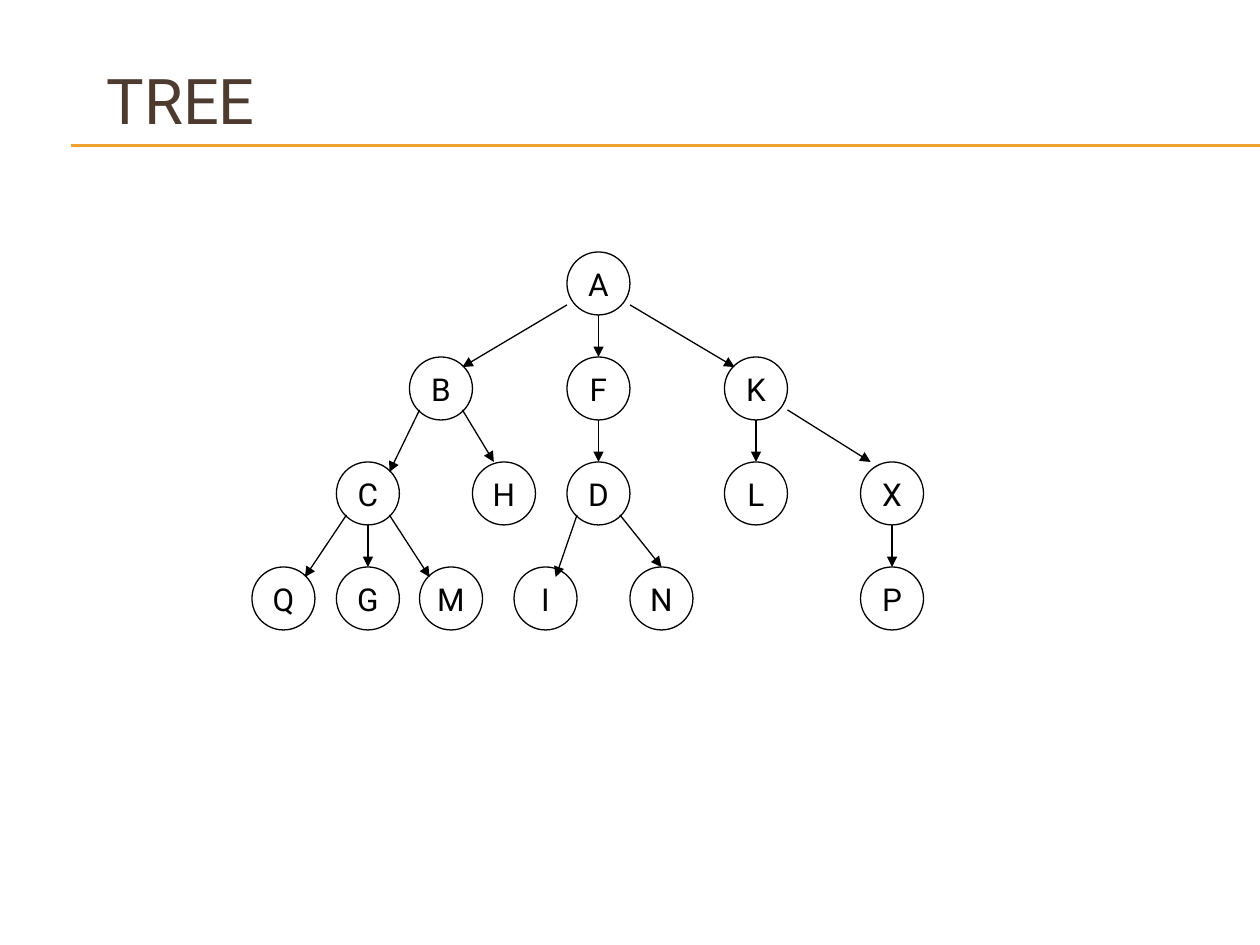
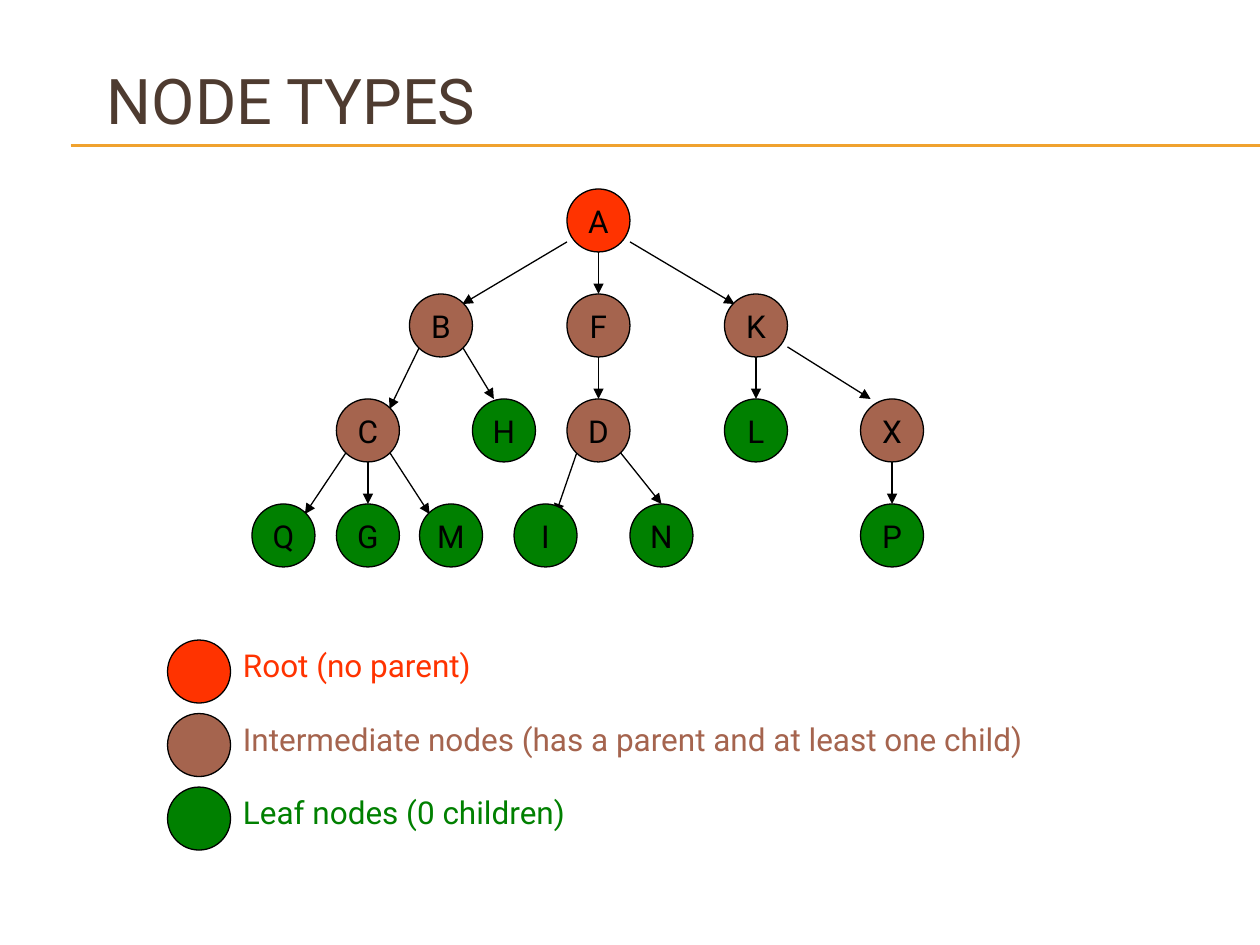
from lxml import etree
from pptx import Presentation
from pptx.dml.color import RGBColor
from pptx.enum import shapes, text
from pptx.oxml import ns
from pptx.util import Inches, Pt

FONT = "Roboto"
BLACK = RGBColor(0x00, 0x00, 0x00)
TITLE_BROWN = RGBColor(0x4E, 0x3B, 0x30)
RULE_GOLD = RGBColor(0xF0, 0xA2, 0x2E)
ROOT_RED = RGBColor(0xFF, 0x33, 0x00)
INNER_BROWN = RGBColor(0xA5, 0x64, 0x4E)
LEAF_GREEN = RGBColor(0x00, 0x80, 0x00)

DIAMETER = 0.5
RADIUS = DIAMETER / 2
DIAGONAL = 0.17
LEVEL_STEP = 2.5 / 3
LEGEND_STEP = 1.75 / 3

# Node centres: horizontal distance from the left edge of the tree, and level.
NODES = {
    "A": (2.75, 0),
    "B": (1.5, 1), "F": (2.75, 1), "K": (4, 1),
    "C": (0.92, 2), "H": (2, 2), "D": (2.75, 2), "L": (4, 2), "X": (5.08, 2),
    "Q": (0.25, 3), "G": (0.92, 3), "M": (1.58, 3), "I": (2.33, 3),
    "N": (3.25, 3), "P": (5.08, 3),
}

# Each edge's ends, as offsets from the centres of its parent and its child.
DOWN = ((0, RADIUS), (0, -RADIUS))
EDGES = {
    "AB": ((-RADIUS, DIAGONAL), (DIAGONAL, -DIAGONAL)),
    "AF": DOWN,
    "AK": ((RADIUS, DIAGONAL), (-DIAGONAL, -DIAGONAL)),
    "FD": DOWN,
    "CG": DOWN,
    "KX": ((RADIUS, DIAGONAL), (-DIAGONAL, -RADIUS)),
    "KL": DOWN,
    "BC": ((-DIAGONAL, DIAGONAL), (DIAGONAL, -DIAGONAL)),
    "BH": ((DIAGONAL, DIAGONAL), (-0.08, -RADIUS)),
    "XP": DOWN,
    "DI": ((-DIAGONAL, DIAGONAL), (0.08, -DIAGONAL)),
    "DN": ((DIAGONAL, DIAGONAL), (0, -RADIUS)),
    "CQ": ((-DIAGONAL, DIAGONAL), (DIAGONAL, -DIAGONAL)),
    "CM": ((DIAGONAL, DIAGONAL), (-DIAGONAL, -DIAGONAL)),
}

LEGEND = [
    ("Root (no parent)", ROOT_RED, 3),
    ("Intermediate nodes (has a parent and at least one child)", INNER_BROWN, 7.83),
    ("Leaf nodes (0 children)", LEAF_GREEN, 4.92),
]


def style(paragraph, size, color):
    """Set the shared typeface with a size and a colour."""
    paragraph.font.name = FONT
    paragraph.font.size = Pt(size)
    paragraph.font.color.rgb = color


def add_line(slide, start, end, color, arrow=False):
    """Draw a thin straight line, with an arrowhead at its end if asked."""
    line = slide.shapes.add_connector(
        shapes.MSO_CONNECTOR.STRAIGHT, *map(Inches, (*start, *end)))
    line.line.color.rgb = color
    line.line.width = Pt(0.75)
    if arrow:
        etree.SubElement(line.line._get_or_add_ln(), ns.qn("a:tailEnd"), type="triangle")
    etree.SubElement(line._element.spPr, ns.qn("a:effectLst"))


def add_label(slide, left, top, width, height, words, size, color):
    """Place a wrapping line of text and return its frame."""
    frame = slide.shapes.add_textbox(*map(Inches, (left, top, width, height))).text_frame
    frame.word_wrap = True
    frame.text = words
    style(frame.paragraphs[0], size, color)
    return frame


def add_node(slide, left, top, fill=None, letter=""):
    """Draw one outlined circle, optionally filled and lettered."""
    node = slide.shapes.add_shape(
        shapes.MSO_SHAPE.OVAL, *map(Inches, (left, top, DIAMETER, DIAMETER)))
    node.shadow.inherit = False
    node.line.color.rgb = BLACK
    node.line.width = Pt(0.75)
    if fill is None:
        node.fill.background()
    else:
        node.fill.solid()
        node.fill.fore_color.rgb = fill
    if letter:
        frame = node.text_frame
        frame.text = letter
        frame.word_wrap = False
        frame.vertical_anchor = text.MSO_ANCHOR.MIDDLE
        frame.paragraphs[0].alignment = text.PP_ALIGN.CENTER
        style(frame.paragraphs[0], 18, BLACK)


def node_color(letter):
    """Choose a colour by whether the node has a parent and children."""
    if not any(child == letter for _, child in EDGES):
        return ROOT_RED
    return INNER_BROWN if any(parent == letter for parent, _ in EDGES) else LEAF_GREEN


def add_tree(slide, left, top, colored=False):
    """Draw the edges and then the nodes of the tree."""
    centers = {letter: (left + x, top + RADIUS + level * LEVEL_STEP)
               for letter, (x, level) in NODES.items()}
    for (parent, child), offsets in EDGES.items():
        start, end = [(centers[letter][0] + dx, centers[letter][1] + dy)
                      for letter, (dx, dy) in zip((parent, child), offsets)]
        add_line(slide, start, end, BLACK, arrow=True)
    for letter, (x, y) in centers.items():
        fill = node_color(letter) if colored else None
        add_node(slide, x - RADIUS, y - RADIUS, fill, letter)


def add_legend(slide, left, top):
    """List the node types beside their coloured circles."""
    for row, (meaning, color, width) in enumerate(LEGEND):
        y = top + row * LEGEND_STEP
        add_node(slide, left, y, color)
        add_label(slide, left + DIAMETER, y, width, DIAMETER, meaning, 18, color)


def add_titled_slide(prs, title):
    """Start a blank slide with the gold rules and a title."""
    slide = prs.slides.add_slide(prs.slide_layouts[6])
    for y in (1.15, 1.16):
        add_line(slide, (0.56, y), (10, y), RULE_GOLD)
    frame = add_label(slide, 0.75, 0.33, 8.5, 0.92, title, 36, TITLE_BROWN)
    frame.vertical_anchor = text.MSO_ANCHOR.MIDDLE
    return slide


def main():
    """Build and save both slides."""
    prs = Presentation()
    prs.slide_width, prs.slide_height = Inches(10), Inches(7.5)
    add_tree(add_titled_slide(prs, "TREE"), 2, 2)
    node_types = add_titled_slide(prs, "NODE TYPES")
    add_tree(node_types, 2, 1.5, colored=True)
    add_legend(node_types, 1.33, 5.08)
    prs.save("out.pptx")


if __name__ == "__main__":
    main()
